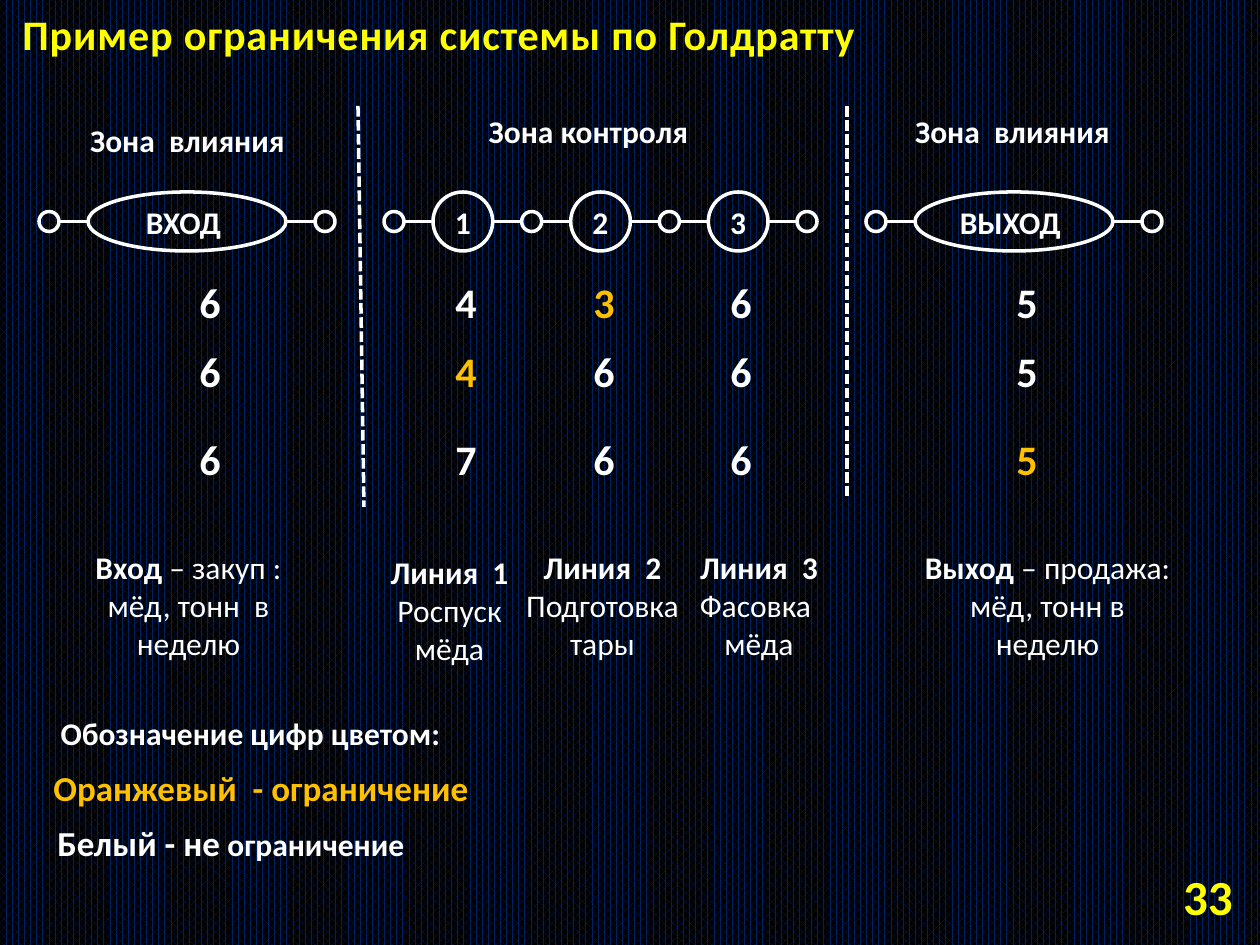
from pptx import Presentation
from pptx.dml.color import RGBColor
from pptx.enum.dml import MSO_LINE, MSO_PATTERN
from pptx.enum.shapes import MSO_CONNECTOR, MSO_SHAPE
from pptx.enum.text import MSO_ANCHOR, PP_ALIGN
from pptx.oxml.ns import qn
from pptx.util import Pt
from lxml import etree

OVAL, STRAIGHT = MSO_SHAPE.OVAL, MSO_CONNECTOR.STRAIGHT
DASH = MSO_LINE.SQUARE_DOT
LEFT, CENTER, RIGHT = PP_ALIGN.LEFT, PP_ALIGN.CENTER, PP_ALIGN.RIGHT
TOP, MIDDLE, BOTTOM = MSO_ANCHOR.TOP, MSO_ANCHOR.MIDDLE, MSO_ANCHOR.BOTTOM
WHITE, ORANGE, YELLOW = "FFFFFF", "FFC000", "FFFF00"
NODE, LINK = 20, 29  # small circle and the line joining it


def px(value):
    return round(value * 914400 / 126)


def color(hex_text):
    return RGBColor.from_string(hex_text)


def style(font, size, hue, bold=True):
    font.name, font.size, font.bold = "Calibri", Pt(size), bold
    font.color.rgb = color(hue)


def add_text(page, box, text, size=18, hue=WHITE, align=CENTER, anchor=TOP):
    """Place one bold paragraph in a text box and return the paragraph."""
    frame = page.shapes.add_textbox(*map(px, box)).text_frame
    frame.word_wrap = True
    frame.vertical_anchor = anchor
    para = frame.paragraphs[0]
    para.alignment = align
    style(para.font, size, hue)
    para.add_run().text = text
    return para


def add_line(shapes, x1, y1, x2, y2, dash=None):
    line = shapes.add_connector(STRAIGHT, px(x1), px(y1), px(x2), px(y2))
    line.line.color.rgb = color(WHITE)
    line.line.width = Pt(2)
    if dash:
        line.line.dash_style = dash
    etree.SubElement(line._element.spPr, qn("a:effectLst"))


def add_oval(shapes, x, y, width, height):
    oval = shapes.add_shape(OVAL, px(x), px(y), px(width), px(height))
    oval.shadow.inherit = False
    oval.fill.background()
    oval.line.color.rgb = color(WHITE)
    oval.line.width = Pt(2)
    return oval


def add_chain(page, box, labels):
    """Labelled ovals in a row, with a small circle at each end and between."""
    x, y, width, height = box
    shapes = page.shapes.add_group_shape().shapes
    middle, margin = y + height / 2, NODE + LINK
    step = (width - NODE) / len(labels)
    for index, label in enumerate(labels):
        left = x + index * step
        right = left + step
        oval = add_oval(shapes, left + margin, y, step - margin - LINK, height)
        frame = oval.text_frame
        frame.word_wrap = False
        frame.vertical_anchor = MIDDLE
        para = frame.paragraphs[0]
        para.alignment = CENTER
        style(para.font, 18, WHITE)
        para.add_run().text = label
        add_line(shapes, left + NODE, middle, left + margin, middle)
        add_line(shapes, right - LINK, middle, right, middle)
    for index in range(len(labels) + 1):
        add_oval(shapes, x + index * step, middle - NODE / 2, NODE, NODE)


def add_chains(page, top):
    chains = ((39, 296, ["ВХОД "]), (384, 433, ["1", "2", "3"]),
              (866, 296, ["ВЫХОД "]))
    for x, width, labels in chains:
        add_chain(page, (x, top, width, 59), labels)


def add_numbers(page, top):
    """Weekly tonnes, with the constraint of each row in orange."""
    columns = (187, 443, 581, 718, 1004)
    rows = ((0, "64365", 2), (69, "64665", 1), (157, "67665", 4))
    for offset, digits, limit in rows:
        for index, (x, digit) in enumerate(zip(columns, digits)):
            hue = ORANGE if index == limit else WHITE
            add_text(page, (x, top + offset, 39, 63), digit, 24, hue, LEFT)


def add_captions(page, top):
    captions = (
        (62, 0, 253, "Вход", " – закуп : мёд, тонн  в неделю"),
        (358, 5, 183, "Линия  1", " Роспуск мёда"),
        (511, 0, 183, "Линия  2", " Подготовка тары"),
        (660, 0, 198, "Линия  3 ", "Фасовка  мёда"),
        (909, 0, 277, "Выход ", "– продажа: мёд, тонн в неделю"),
    )
    for x, offset, width, name, detail in captions:
        para = add_text(page, (x, top + offset, width, 127), name)
        span = para.add_run()
        span.text = detail
        span.font.bold = False


def add_zones(page, top):
    zones = ((61, 9, "Зона  влияния"), (462, 0, "Зона контроля"),
             (886, 0, "Зона  влияния"))
    for x, offset, text in zones:
        add_text(page, (x, top + offset, 253, 50), text)
    add_line(page.shapes, 358, top, 364, top + 401, DASH)
    add_line(page.shapes, 847, top, 847, top + 390, DASH)


def add_legend(page, x, y):
    add_text(page, (x, y, 426, 50), "Обозначение цифр цветом: ")
    add_text(page, (x, y + 52, 478, 55), "Оранжевый  - ограничение", 20, ORANGE, LEFT)
    para = add_text(page, (x + 4, y + 107, 476, 55), "Белый - не", 20, WHITE, LEFT)
    span = para.add_run()
    span.text = " ограничение"
    span.font.size = Pt(18)


def main():
    deck = Presentation()
    deck.slide_width, deck.slide_height = px(1260), px(945)
    page = deck.slides.add_slide(deck.slide_layouts[6])

    # Striped background
    fill = page.background.fill
    fill.patterned()
    fill.pattern = MSO_PATTERN.PERCENT_70
    fill.fore_color.rgb = color("002060")
    fill.back_color.rgb = color("000000")

    # Title and page number
    title = add_text(page, (10, 15, 1008, 50),
                     "Пример ограничения системы по Голдратту",
                     24, YELLOW, LEFT, BOTTOM)
    title.runs[0]._r.get_or_add_rPr().set("spc", "50")
    add_text(page, (1127, 871, 118, 50), "33", 28, YELLOW, RIGHT, MIDDLE)

    # Diagram and legend
    add_zones(page, 106)
    add_chains(page, 192)
    add_numbers(page, 270)
    add_captions(page, 542)
    add_legend(page, 41, 708)
    deck.save("out.pptx")


if __name__ == "__main__":
    main()
